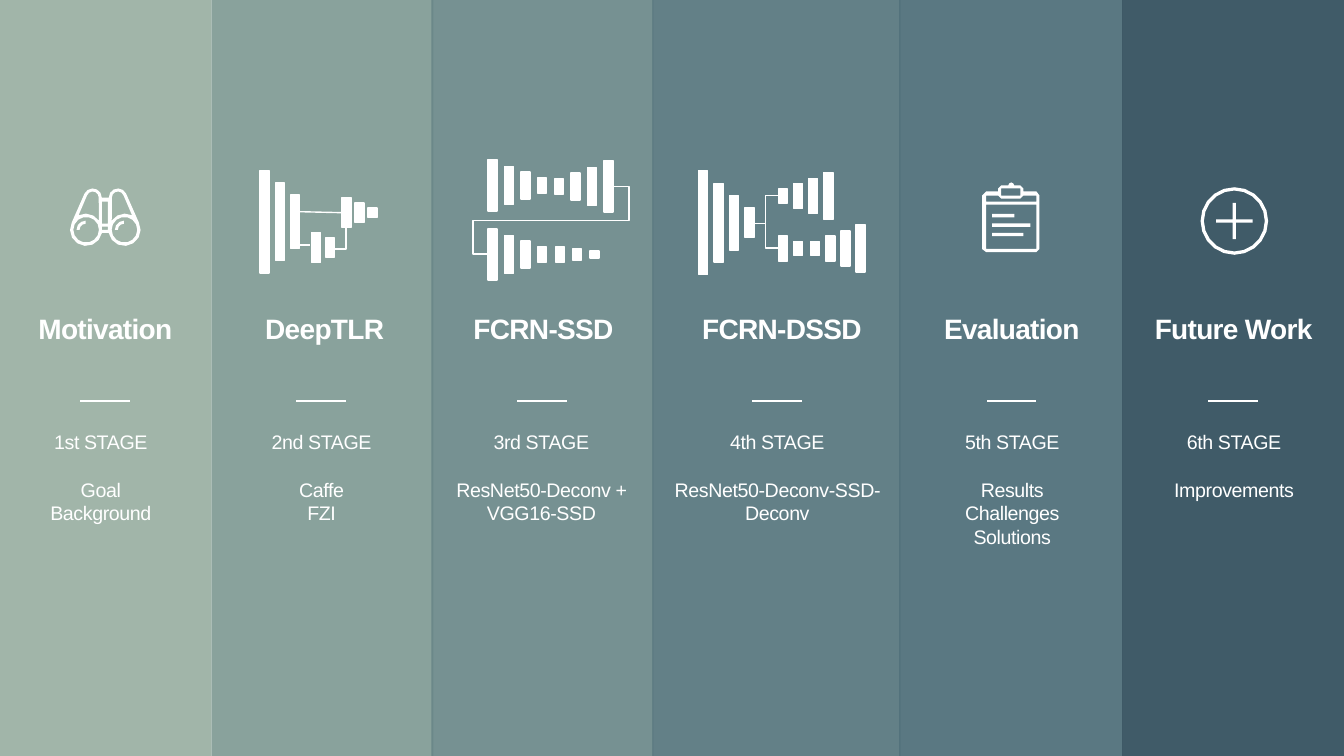
from dataclasses import dataclass
from math import cos, radians, sin

from lxml import etree
from pptx import Presentation
from pptx.dml.color import RGBColor
from pptx.enum.shapes import MSO_CONNECTOR, MSO_SHAPE
from pptx.enum.text import MSO_ANCHOR, PP_ALIGN
from pptx.oxml.ns import qn
from pptx.util import Inches, Pt

RECTANGLE = MSO_SHAPE.RECTANGLE
STRAIGHT, ELBOW = MSO_CONNECTOR.STRAIGHT, MSO_CONNECTOR.ELBOW
CENTER, TOP = PP_ALIGN.CENTER, MSO_ANCHOR.TOP
LEFT_SIDE = 1

# The grid has 1333 columns and 750 rows of square cells.
COLUMNS, ROWS, CELL = 1333, 750, Inches(0.01)
COLORS = {"white": "FFFFFF", "sage": "97AEA0", "moss": "7D9892", "teal": "688687",
          "lagoon": "53737B", "slate": "496A75", "navy": "2C4A58"}
FONT, LINE_GAP = "Arial", 16.8
TITLE_ROW, RULE_ROW, BODY_ROW = 309, 398, 421
RULE_WIDTH, BODY_WIDTH, BAR_WIDTH = 49, 220, 9

Point = tuple[float, float]
Contour = list[Point]


@dataclass
class Stage:
    left: float
    width: float
    color: str
    title: str
    title_middle: float
    rule_middle: float
    body_middle: float
    ordinal: str
    topics: list[str]


@dataclass
class BarRow:
    """Bars at an equal pitch, all centred on one row of the grid."""
    left: float
    pitch: float
    middle: float
    heights: list[float]


@dataclass
class Link:
    start: Point
    end: Point
    preset: str = "line"
    bends: tuple[int, ...] = ()
    end_bar: int | None = None


@dataclass
class Network:
    rows: list[BarRow]
    links: list[Link]


STAGES = [
    Stage(0, 210, "sage", "Motivation", 104.5, 104, 100, "1st", ["Goal", "Background"]),
    Stage(210, 220, "moss", "DeepTLR", 322, 318.5, 319, "2nd", ["Caffe", "FZI"]),
    Stage(428, 220, "teal", "FCRN-SSD", 539, 537.5, 537, "3rd",
          ["ResNet50-Deconv + VGG16-SSD"]),
    Stage(647, 246, "lagoon", "FCRN-DSSD", 775.5, 770.5, 771, "4th",
          ["ResNet50-Deconv-SSD-Deconv"]),
    Stage(892, 221, "slate", "Evaluation", 1003.5, 1003.5, 1004, "5th",
          ["Results", "Challenges", "Solutions"]),
    Stage(1113, 220, "navy", "Future Work", 1223.5, 1223, 1224, "6th", ["Improvements"]),
]
NETWORKS = [
    Network([BarRow(258, 15, 220, [102, 77, 53]), BarRow(309, 14, 245.5, [30, 19]),
             BarRow(339, 13, 211, [30, 19, 9])],
            [Link((297, 210), (339, 211), end_bar=5), Link((298, 243), (307, 243)),
             Link((332, 247), (343, 226), "bentConnector2")]),
    Network([BarRow(693, 15.3, 221, [103, 78, 54, 30]),
             BarRow(772, 15, 194.5, [14, 25, 35, 47]),
             BarRow(772, 15, 246.5, [25, 14]), BarRow(804, 15, 246.5, [14, 25, 35, 47])],
            [Link((747, 222), (772, row), "bentConnector3") for row in (246, 194)]),
    Network([BarRow(484, 16.3, 184, [51, 38, 27, 15]),
             BarRow(550, 16.3, 185, [15, 27, 38, 51]),
             BarRow(484, 16.3, 252.5, [51, 38, 27, 15]), BarRow(551, 17, 252.5, [15, 11, 7])],
            [Link((609, 185), (484, 252), "bentConnector5", (-11900, 50000, 111900))]),
]


def cells(*lengths: float) -> list[int]:
    return [round(length * CELL) for length in lengths]


def rgb(name: str) -> RGBColor:
    return RGBColor.from_string(COLORS[name])


def arc(x: float, y: float, radius: float, start: float, end: float) -> Contour:
    steps = max(2, round(abs(end - start) / 30))
    angles = [radians(start + (end - start) * step / steps) for step in range(steps + 1)]
    return [(x + radius * cos(angle), y + radius * sin(angle)) for angle in angles]


def circle(x: float, y: float, radius: float, corners: int) -> Contour:
    angles = [radians(360 * corner / corners) for corner in range(corners)]
    return [(x + radius * cos(angle), y + radius * sin(angle)) for angle in angles]


def frame(left: float, top: float, right: float, bottom: float) -> Contour:
    return [(left, top), (right, top), (right, bottom), (left, bottom)]


def binoculars() -> list[Contour]:
    def mirror(contour: Contour) -> Contour:
        return [(209 - x, y) for x, y in reversed(contour)]

    half = arc(92, 196, 9, 0, -155) + arc(85.5, 228, 16, 207, 11)
    tube = arc(85, 228, 16, -35, -116) + arc(92, 196, 6, -160, 0)
    lens = circle(85.5, 228, 12.7, 14)
    glints = [arc(x, 228, 9, 180, 270) + arc(x, 228, 6, 270, 180) for x in (85, 123)]
    return [half + mirror(half), tube, mirror(tube), lens, mirror(lens),
            frame(101, 200, 107, 222), frame(101, 225, 107, 228), *glints]


def clipboard() -> list[Contour]:
    board = [(978, 190), (990, 190), (990, 187), (993, 184), (1000, 184), (1001, 182),
             (1003, 181), (1005, 182), (1006, 184), (1012, 184), (1015, 187), (1015, 190),
             (1028, 190), (1031, 194), (1031, 247), (1028, 250), (978, 250), (974, 247),
             (974, 194)]
    strip = [(978, 194), (990, 194), (993, 197), (1012, 197), (1015, 194), (1028, 194),
             (1028, 200), (978, 200)]
    notes = [frame(984, top, right, top + 3.3)
             for top, right in ((212.3, 1006), (221.7, 1022), (231, 1015))]
    return [board, strip, frame(993, 187, 1012, 194), frame(978, 203, 1028, 247), *notes]


def plus_sign() -> list[Contour]:
    x, y, arm, half = 1224.3, 219.3, 18, 1.6
    corner = [(half, -arm), (half, -half), (arm, -half)]
    cross = []
    for _ in range(4):
        cross += [(x + across, y + down) for across, down in corner]
        corner = [(-down, across) for across, down in corner]
    return [circle(x, y, 33.5, 20), circle(x, y, 30.2, 20), cross]


def draw_icon(shapes, contours: list[Contour]) -> None:
    outlines = [[tuple(cells(*point)) for point in contour] for contour in contours]
    builder = shapes.build_freeform(*outlines[0][0], scale=1.0)
    for index, (first, *rest) in enumerate(outlines):
        if index:
            builder.move_to(*first)
        builder.add_line_segments(rest, close=True)
    icon = builder.convert_to_shape()
    icon.shadow.inherit = False
    icon.fill.solid()
    icon.fill.fore_color.rgb = rgb("white")
    icon.line.fill.background()


def draw_rectangle(shapes, left: float, top: float, width: float, height: float, color: str):
    rectangle = shapes.add_shape(RECTANGLE, *cells(left, top, width, height))
    rectangle.shadow.inherit = False
    rectangle.fill.solid()
    rectangle.fill.fore_color.rgb = rgb(color)
    return rectangle


def draw_line(shapes, kind, start: Point, end: Point, weight: float):
    line = shapes.add_connector(kind, *cells(*start, *end))
    line.line.color.rgb = rgb("white")
    line.line.width = Pt(weight)
    etree.SubElement(line._element.spPr, qn("a:effectLst"))
    return line


def draw_band(shapes, stage: Stage) -> None:
    band = draw_rectangle(shapes, stage.left, 0, stage.width, ROWS, stage.color)
    band.line.fill.background()
    color = band._element.spPr.find(".//" + qn("a:srgbClr"))
    etree.SubElement(color, qn("a:alpha"), val="90000")


def draw_text(shapes, middle: float, top: float, height: float, inset: float,
              lines: list[str], size: float, tracking: int, bold: bool = False) -> None:
    """Draw centred lines, with a gap of one line after the first."""
    box = shapes.add_textbox(*cells(middle - BODY_WIDTH / 2, top, BODY_WIDTH, height))
    text = box.text_frame
    text.word_wrap, text.vertical_anchor = True, TOP
    text.margin_left = text.margin_right = Inches(inset)
    text.margin_top = text.margin_bottom = Inches(inset)
    for index, line in enumerate(lines):
        para = text.add_paragraph() if index else text.paragraphs[0]
        para.text, para.alignment = line, CENTER
        if index == 1:
            para.space_before = Pt(LINE_GAP)
        para.font.name, para.font.size, para.font.bold = FONT, Pt(size), bold
        para.font.color.rgb = rgb("white")
        for span in para.runs:
            span._r.get_or_add_rPr().set("spc", str(tracking))


def draw_network(shapes, network: Network) -> None:
    group = shapes.add_group_shape().shapes
    bars = []
    for row in network.rows:
        for index, height in enumerate(row.heights):
            bar = draw_rectangle(group, row.left + index * row.pitch, row.middle - height / 2,
                                 BAR_WIDTH, height, "white")
            bar.line.color.rgb = rgb("white")
            bar.line.width = Pt(1)
            bars.append(bar)
    for link in network.links:
        kind = STRAIGHT if link.preset == "line" else ELBOW
        line = draw_line(group, kind, link.start, link.end, 1)
        if link.end_bar is not None:
            line.end_connect(bars[link.end_bar], LEFT_SIDE)
        geometry = line._element.spPr.find(qn("a:prstGeom"))
        geometry.set("prst", link.preset)
        for number, bend in enumerate(link.bends, 1):
            etree.SubElement(geometry.find(qn("a:avLst")), qn("a:gd"),
                             name=f"adj{number}", fmla=f"val {bend}")


def main() -> None:
    deck = Presentation()
    deck.slide_width, deck.slide_height = cells(COLUMNS, ROWS)
    shapes = deck.slides.add_slide(deck.slide_layouts[6]).shapes
    for stage in STAGES:
        draw_band(shapes, stage)
    for stage in STAGES:
        draw_text(shapes, stage.title_middle, TITLE_ROW, 34, 0, [stage.title], 20, -50, True)
        rule_left = stage.rule_middle - RULE_WIDTH / 2
        draw_line(shapes, STRAIGHT, (rule_left, RULE_ROW), (rule_left + RULE_WIDTH, RULE_ROW), 1.5)
        draw_text(shapes, stage.body_middle, BODY_ROW, 130, 0.06,
                  [f"{stage.ordinal} STAGE", *stage.topics], 14, -30)
    for contours in (binoculars(), clipboard(), plus_sign()):
        draw_icon(shapes, contours)
    for network in NETWORKS:
        draw_network(shapes, network)
    deck.save("out.pptx")


if __name__ == "__main__":
    main()
